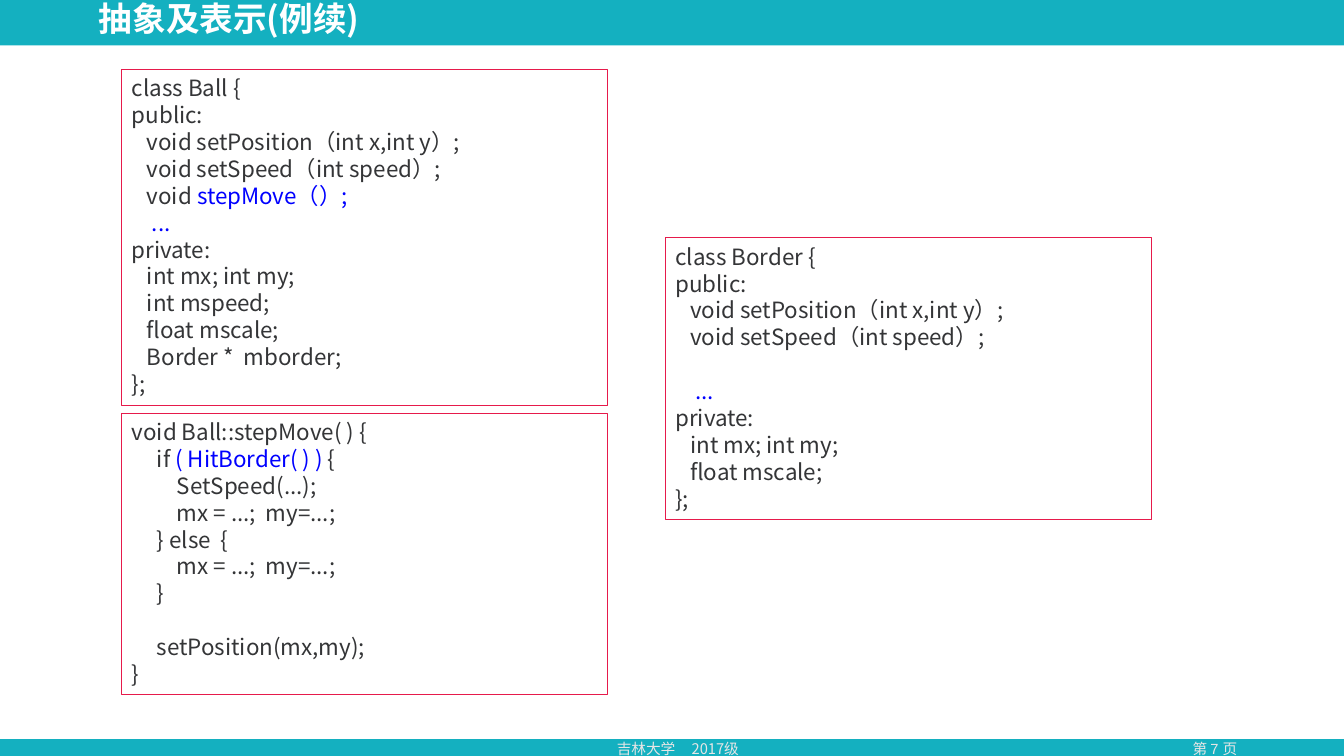
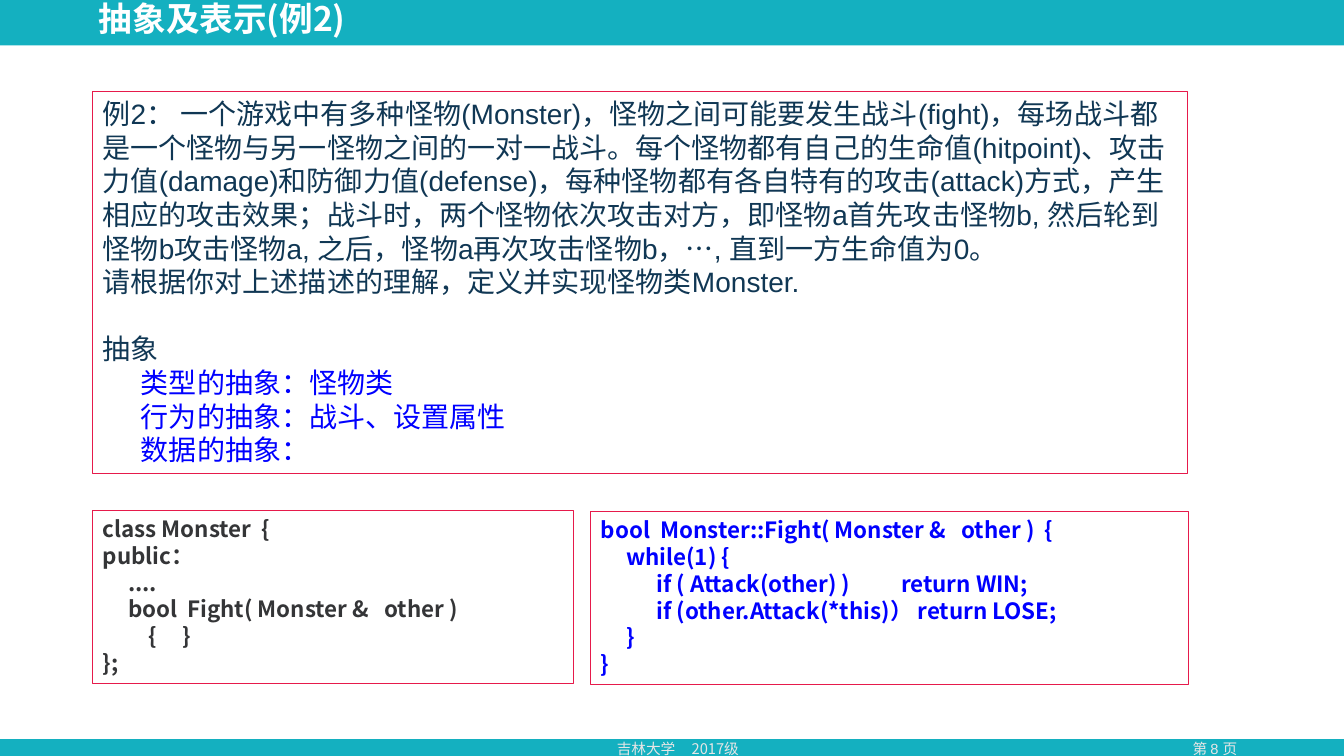
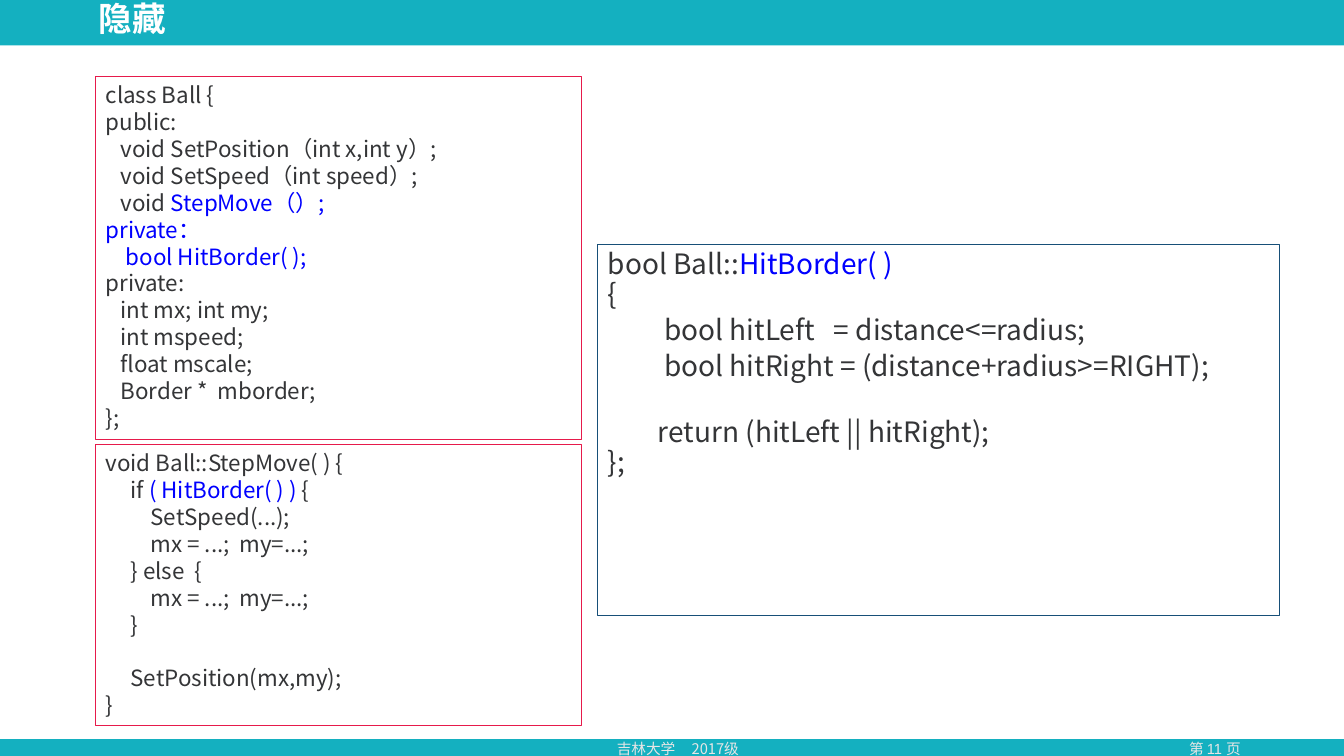
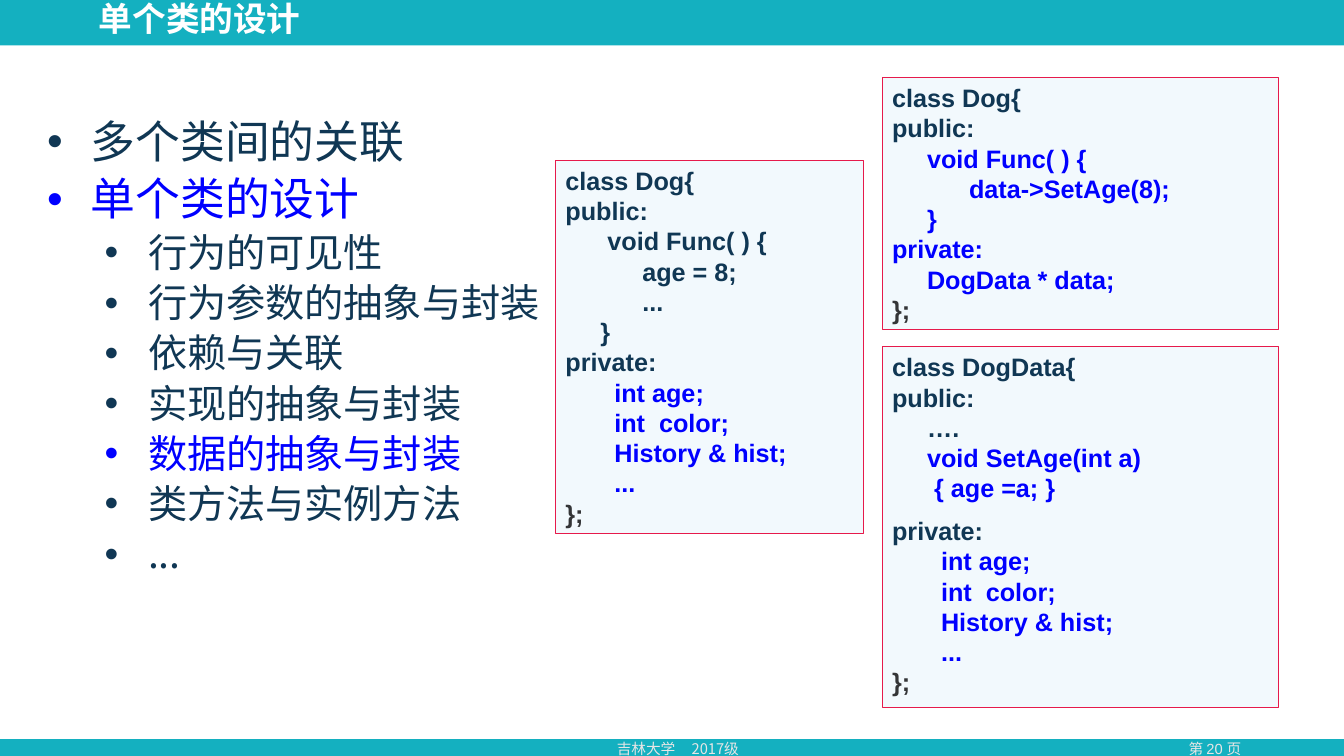
from copy import deepcopy
from dataclasses import dataclass
from typing import NamedTuple, Optional

from lxml.etree import SubElement
from pptx import Presentation
from pptx.dml.color import RGBColor
from pptx.enum.shapes import MSO_SHAPE
from pptx.enum.text import MSO_ANCHOR, MSO_AUTO_SIZE, PP_ALIGN
from pptx.oxml.ns import qn
from pptx.util import Inches, Pt

TEAL = RGBColor(0x14, 0xB0, 0xC0)
WHITE = RGBColor(0xFF, 0xFF, 0xFF)
PALE = RGBColor(0xF2, 0xF9, 0xFD)
LIGHT_GREY = RGBColor(0xE7, 0xE6, 0xE6)
CHARCOAL = RGBColor(0x34, 0x35, 0x37)
NAVY = RGBColor(0x10, 0x37, 0x54)
STEEL = RGBColor(0x17, 0x4F, 0x78)
BLUE = RGBColor(0x00, 0x00, 0xFF)
CRIMSON = RGBColor(0xE6, 0x1A, 0x4B)
CJK_FONT = "Noto Sans CJK SC"
LATIN_FONT = "Arial"
HANGING = 0.43


class Area(NamedTuple):
    left: float
    top: float
    width: float
    height: float

    def lengths(self) -> list:
        return [Inches(side) for side in self]


class Span(NamedTuple):
    text: str
    color: RGBColor = CHARCOAL


@dataclass(frozen=True)
class Style:
    size: float
    font: str = CJK_FONT
    bold: bool = False
    line_spacing: float = 1.0


@dataclass(frozen=True)
class Para:
    spans: list[Span]
    space_before: float = 0
    margin: float = 0
    level: int = 0
    bulleted: bool = False
    size: Optional[float] = None


@dataclass(frozen=True)
class Panel:
    area: Area
    paras: list[Para]
    style: Style
    fill: Optional[RGBColor] = None
    border: RGBColor = CRIMSON


TITLE = Style(24, bold=True, line_spacing=0.9)
FOOTER = Style(10.5)
PAGE = Style(10.5, LATIN_FONT)
CODE = Style(16)
BOLD_CODE = Style(16, bold=True)
LARGE_CODE = Style(20, line_spacing=0.9)
DOG_CODE = Style(18, LATIN_FONT, bold=True)
PROSE = Style(20, LATIN_FONT)
OUTLINE = Style(32, line_spacing=0.9)


def format_run(run, style: Style, size: float, color: RGBColor) -> None:
    font = run.font
    font.size, font.bold, font.name = Pt(size), style.bold, style.font
    font.color.rgb = color
    SubElement(run._r.get_or_add_rPr(), qn("a:ea"), typeface=CJK_FONT)


def write_para(paragraph, para: Para, style: Style) -> None:
    """Write the spans; every newline becomes a line break in the span's format."""
    properties = paragraph._p.get_or_add_pPr()
    properties.set("marL", str(Inches(para.margin)))
    if para.bulleted:
        properties.set("indent", str(-Inches(HANGING)))
        SubElement(properties, qn("a:buFont"), typeface=LATIN_FONT)
        SubElement(properties, qn("a:buChar"), char="•")
    paragraph.level = para.level
    paragraph.line_spacing = style.line_spacing
    paragraph.space_before = Pt(para.space_before)
    for span in para.spans:
        for index, line in enumerate(span.text.split("\n")):
            if index:
                paragraph.add_line_break()
            if line:
                run = paragraph.add_run()
                run.text = line
                format_run(run, style, para.size or style.size, span.color)
    run_format = paragraph.runs[0]._r.rPr
    for line_break in paragraph._p.findall(qn("a:br")):
        line_break.append(deepcopy(run_format))


def fill_frame(frame, paras: list[Para], style: Style) -> None:
    frame.word_wrap = True
    frame.auto_size = MSO_AUTO_SIZE.NONE
    frame.vertical_anchor = MSO_ANCHOR.TOP
    for index, para in enumerate(paras):
        paragraph = frame.add_paragraph() if index else frame.paragraphs[0]
        paragraph.alignment = PP_ALIGN.LEFT
        write_para(paragraph, para, style)


def add_text(slide, area: Area, paras: list[Para], style: Style):
    box = slide.shapes.add_textbox(*area.lengths())
    fill_frame(box.text_frame, paras, style)
    return box


def add_rectangle(slide, area: Area, fill: Optional[RGBColor], border: Optional[RGBColor] = None):
    rectangle = slide.shapes.add_shape(MSO_SHAPE.RECTANGLE, *area.lengths())
    rectangle.shadow.inherit = False
    if fill is None:
        rectangle.fill.background()
    else:
        rectangle.fill.solid()
        rectangle.fill.fore_color.rgb = fill
    if border is None:
        rectangle.line.fill.background()
    else:
        rectangle.line.color.rgb = border
        rectangle.line.width = Pt(0.75)
    return rectangle


def add_panel(slide, panel: Panel) -> None:
    rectangle = add_rectangle(slide, panel.area, panel.fill, panel.border)
    fill_frame(rectangle.text_frame, panel.paras, panel.style)


def move_frame_to_layout(slide) -> None:
    """Draw the bands and the footer label once, then hand them to the layout."""
    frame = [
        add_rectangle(slide, Area(0, 0, 13.33, 7.5), TEAL),
        add_rectangle(slide, Area(0, 0.45, 13.33, 6.88), WHITE),
        add_text(slide, Area(6.02, 7.29, 1.84, 0.28),
                 [Para([Span("吉林大学     2017级", LIGHT_GREY)])], FOOTER),
    ]
    for part in frame:
        slide.slide_layout.shapes._spTree.append(part._element)


def add_slide(deck, title: str, page: int, panels: list[Panel]):
    slide = deck.slides.add_slide(deck.slide_layouts[5])
    if len(deck.slides) == 1:
        move_frame_to_layout(slide)
    heading = slide.shapes.title
    heading.left, heading.top, heading.width, heading.height = Area(0.88, 0.04, 7.68, 0.39).lengths()
    fill_frame(heading.text_frame, [Para([Span(title, WHITE)])], TITLE)
    heading.text_frame.vertical_anchor = MSO_ANCHOR.BOTTOM
    number = add_text(slide, Area(11.32, 7.29, 1.46, 0.28),
                      [Para([Span(f"第 {page} 页", LIGHT_GREY)])], PAGE)
    number.text_frame.paragraphs[0].alignment = PP_ALIGN.CENTER
    for panel in panels:
        add_panel(slide, panel)
    return slide


def class_code(name: str, setter: str, members: list[Span], fields: str) -> list[Para]:
    head = (f"class {name} {{\npublic:\n"
            f"   void {setter}Position（int x,int y）;\n"
            f"   void {setter}Speed（int speed）;\n")
    return [Para([Span(head), *members, Span("private:")]),
            Para([Span(f"   int mx; int my;\n{fields}}};")])]


def ball_code(setter: str, step: str, extra: str) -> list[Para]:
    members = [Span("   void "), Span(f"{step}（）;\n{extra}\n", BLUE)]
    fields = "   int mspeed;\n   float mscale;\n   Border *  mborder;\n"
    return class_code("Ball", setter, members, fields)


def step_code(setter: str, step: str) -> list[Para]:
    move = "         mx = ...;  my=...;\n"
    return [Para([
        Span(f"void Ball::{step}( ) {{\n     if "),
        Span("( HitBorder( ) )", BLUE),
        Span(f" {{\n         SetSpeed(...);\n{move}     }} else  {{\n{move}     }}\n\n"
             f"     {setter}Position(mx,my);\n}}"),
    ])]


def add_abstraction_continued(deck) -> None:
    border = class_code("Border", "set", [Span("\n"), Span("    ...\n", BLUE)], "   float mscale;\n")
    add_slide(deck, "抽象及表示(例续)", 7, [
        Panel(Area(1.21, 0.69, 4.82, 3.33), ball_code("set", "stepMove", "    ..."), CODE),
        Panel(Area(1.21, 4.1, 4.82, 2.79), step_code("set", "stepMove"), CODE),
        Panel(Area(6.6, 2.36, 4.82, 2.79), border, CODE),
    ])


def add_abstraction_example(deck) -> None:
    task = ("例2： 一个游戏中有多种怪物(Monster)，怪物之间可能要发生战斗(fight)，"
            "每场战斗都是一个怪物与另一怪物之间的一对一战斗。每个怪物都有自己的生命值(hitpoint)、"
            "攻击力值(damage)和防御力值(defense)，每种怪物都有各自特有的攻击(attack)方式，"
            "产生相应的攻击效果；战斗时，两个怪物依次攻击对方，即怪物a首先攻击怪物b, "
            "然后轮到怪物b攻击怪物a, 之后，怪物a再次攻击怪物b，…, 直到一方生命值为0。\n"
            "请根据你对上述描述的理解，定义并实现怪物类Monster.")
    kinds = ["类型的抽象：怪物类", "行为的抽象：战斗、设置属性", "数据的抽象："]
    description = [Para([Span(task, NAVY)]),
                   Para([Span("抽象", NAVY)], space_before=24),
                   *(Para([Span(kind, BLUE)], margin=0.38) for kind in kinds)]
    monster = ("class Monster  {\npublic：\n     ....\n"
               "     bool  Fight( Monster &   other )\n         {     }\n};")
    fight = ("bool  Monster::Fight( Monster &   other )  {\n     while(1) {\n"
             "           if ( Attack(other) )          return WIN;\n"
             "           if (other.Attack(*this)） return LOSE;\n     }\n}")
    add_slide(deck, "抽象及表示(例2)", 8, [
        Panel(Area(0.92, 0.91, 10.86, 3.79), description, PROSE),
        Panel(Area(0.92, 5.06, 4.77, 1.72), [Para([Span(monster)])], BOLD_CODE),
        Panel(Area(5.86, 5.07, 5.93, 1.72), [Para([Span(fight, BLUE)])], BOLD_CODE),
    ])


def add_hiding(deck) -> None:
    hit_border = [
        Para([Span("bool Ball::"), Span("HitBorder( )\n", BLUE), Span("{")]),
        Para([Span("         bool hitLeft   = distance<=radius;")], space_before=4),
        Para([Span("         bool hitRight = (distance+radius>=RIGHT);")], space_before=4),
        Para([Span("\n        return (hitLeft || hitRight);\n};")], space_before=4),
    ]
    ball = ball_code("Set", "StepMove", "private：\n    bool HitBorder( );")
    add_slide(deck, "隐藏", 11, [
        Panel(Area(5.93, 2.43, 6.76, 3.68), hit_border, LARGE_CODE, border=STEEL),
        Panel(Area(0.95, 0.76, 4.82, 3.6), ball, CODE),
        Panel(Area(0.95, 4.41, 4.82, 2.79), step_code("Set", "StepMove"), CODE),
    ])


def outline_para(text: str, level: int, color: RGBColor, first: bool) -> Para:
    size = 28 if level else 32
    return Para([Span(text, color)], 0 if first else size * 0.2,
                1 if level else HANGING, level, True, size)


def add_class_design(deck) -> None:
    fields = Span("       int age;\n       int  color;\n       History & hist;\n       ...\n", BLUE)
    end = Span("};")
    dog = Span("class Dog{\npublic:\n      void Func( ) {\n           age = 8;\n"
               "           ...\n     }\nprivate:\n", NAVY)
    wrapped_dog = [
        Span("class Dog{\npublic:\n", NAVY),
        Span("     void Func( ) {\n           data->SetAge(8);\n     }\n"
             "private:\n     DogData * data;\n", BLUE),
        end,
    ]
    dog_data = [
        Para([Span("class DogData{\npublic:\n     ….\n", NAVY),
              Span("     void SetAge(int a)\n      { age =a; }", BLUE)]),
        Para([Span("private:\n", NAVY), fields, end], space_before=9),
    ]
    slide = add_slide(deck, "单个类的设计", 20, [
        Panel(Area(5.51, 1.59, 3.06, 3.7), [Para([dog, fields, end])], DOG_CODE, PALE),
        Panel(Area(8.75, 0.77, 3.93, 2.5), [Para(wrapped_dog)], DOG_CODE, PALE),
        Panel(Area(8.75, 3.44, 3.93, 3.58), dog_data, DOG_CODE, PALE),
    ])
    topics = [("多个类间的关联", 0), ("单个类的设计", 0), ("行为的可见性", 1),
              ("行为参数的抽象与封装", 1), ("依赖与关联", 1), ("实现的抽象与封装", 1),
              ("数据的抽象与封装", 1), ("类方法与实例方法", 1), ("...", 1)]
    current = {"单个类的设计", "数据的抽象与封装"}
    outline = [outline_para(text, level, BLUE if text in current else NAVY, index == 0)
               for index, (text, level) in enumerate(topics)]
    add_text(slide, Area(0.37, 1.14, 5.38, 5.36), outline, OUTLINE)


def main() -> None:
    deck = Presentation()
    deck.slide_width, deck.slide_height = Inches(13.33), Inches(7.5)
    add_abstraction_continued(deck)
    add_abstraction_example(deck)
    add_hiding(deck)
    add_class_design(deck)
    deck.save("out.pptx")


if __name__ == "__main__":
    main()
